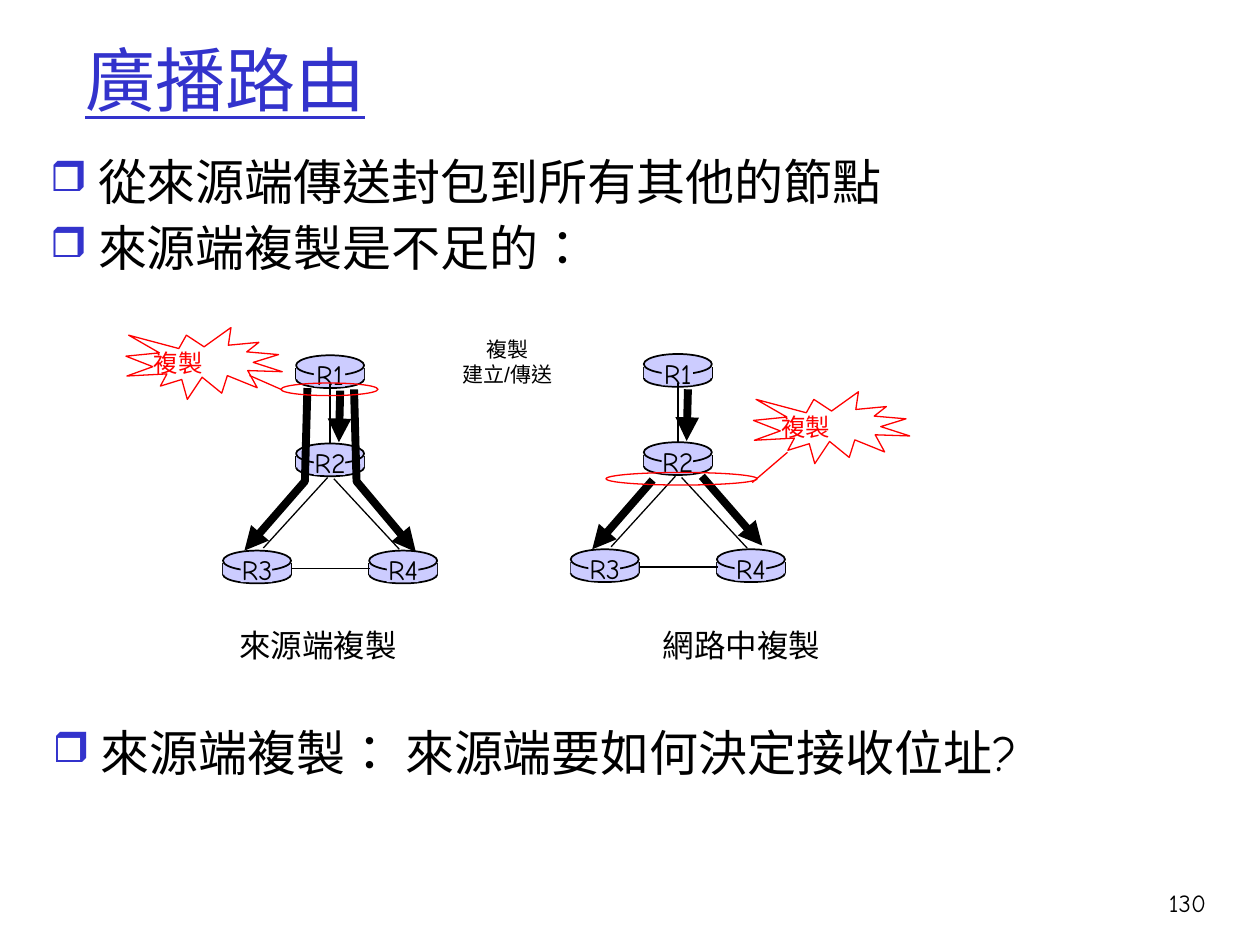
from lxml import etree
from pptx import Presentation
from pptx.dml.color import RGBColor
from pptx.enum.lang import MSO_LANGUAGE_ID
from pptx.enum.shapes import MSO_CONNECTOR, MSO_SHAPE
from pptx.enum.text import MSO_ANCHOR, PP_ALIGN
from pptx.oxml.ns import qn
from pptx.util import Inches, Pt

CHINESE = MSO_LANGUAGE_ID.TRADITIONAL_CHINESE
STRAIGHT = MSO_CONNECTOR.STRAIGHT
OVAL, RECTANGLE = MSO_SHAPE.OVAL, MSO_SHAPE.RECTANGLE
BURST = MSO_SHAPE.EXPLOSION1
LEFT, CENTER, RIGHT = PP_ALIGN.LEFT, PP_ALIGN.CENTER, PP_ALIGN.RIGHT
TOP, MIDDLE = MSO_ANCHOR.TOP, MSO_ANCHOR.MIDDLE
BLACK, RED, BLUE, LILAC = "000000", "FF0000", "3333CC", "CCCCFF"
SANS, COMIC = "Arial", "Comic Neue"

ROUTERS = {"R1": (2.35, 2.82), "R2": (2.35, 3.52),
           "R3": (1.77, 4.37), "R4": (2.93, 4.37)}
LINKS = [((2.62, 3.05), (2.62, 3.52)), ((2.6, 3.79), (2.09, 4.35)),
         ((2.65, 3.8), (3.17, 4.36)), ((2.31, 4.51), (2.94, 4.51))]
FIRST_HOP = ((2.7, 3.1), (2.69, 3.51))
RIGHT_SHIFT = (2.76, -0.01)


def color(value):
    """Return the colour for a hex string."""
    return RGBColor.from_string(value)


def shift(point, offset):
    """Move a point by an offset."""
    return point[0] + offset[0], point[1] + offset[1]


def add_shape(page, kind, place, fill=None, line=None, weight=0.75):
    """Add a preset shape with an optional fill and outline."""
    shape = page.shapes.add_shape(kind, *map(Inches, place))
    shape.shadow.inherit = False
    if fill:
        shape.fill.solid()
        shape.fill.fore_color.rgb = color(fill)
    else:
        shape.fill.background()
    if line:
        shape.line.color.rgb = color(line)
        shape.line.width = Pt(weight)
    else:
        shape.line.fill.background()
    return shape


def add_arrowhead(shape):
    """Put a triangle at the end of a line."""
    etree.SubElement(shape.line._get_or_add_ln(), qn("a:tailEnd"), type="triangle")


def add_line(page, start, end, line=BLACK, weight=0.75):
    """Add a straight line between two points."""
    connector = page.shapes.add_connector(STRAIGHT, *map(Inches, (*start, *end)))
    connector.line.color.rgb = color(line)
    connector.line.width = Pt(weight)
    etree.SubElement(connector._element.spPr, qn("a:effectLst"))
    return connector


def add_route(page, *points):
    """Add a thick packet route that follows the points to an arrowhead."""
    corners = [(Inches(x), Inches(y)) for x, y in points]
    builder = page.shapes.build_freeform(*corners[0])
    builder.add_line_segments(corners[1:], close=False)
    route = builder.convert_to_shape()
    route.shadow.inherit = False
    route.fill.background()
    route.line.color.rgb = color(BLACK)
    route.line.width = Pt(4.5)
    add_arrowhead(route)


def add_text(page, place, lines, size, font=SANS, ink=BLACK, align=CENTER,
             wrap=False, anchor=TOP, underline=None):
    """Add a text box with one paragraph per line."""
    box = page.shapes.add_textbox(*map(Inches, place))
    frame = box.text_frame
    frame.word_wrap = wrap
    frame.vertical_anchor = anchor
    frame.text = "\n".join(lines)
    for para in frame.paragraphs:
        para.alignment = align
        for span in para.runs:
            span.font.size = Pt(size)
            span.font.name = font
            span.font.language_id = CHINESE
            span.font.underline = underline
            span.font.color.rgb = color(ink)
    return box


def add_bullets(page, place, lines):
    """Add a list with blue square bullets."""
    box = add_text(page, place, lines, 28, COMIC, align=LEFT, wrap=True)
    for index, para in enumerate(box.text_frame.paragraphs):
        para.line_spacing = 0.9
        para.space_before = Pt(7 if index else 0)
        props = para._p.get_or_add_pPr()
        props.set("marL", str(Inches(0.38)))
        props.set("indent", str(-Inches(0.38)))
        tint = etree.SubElement(props, qn("a:buClr"))
        etree.SubElement(tint, qn("a:srgbClr"), val=BLUE)
        etree.SubElement(props, qn("a:buSzPct"), val="85000")
        etree.SubElement(props, qn("a:buChar"), char="❒")


def add_router(page, name, corner):
    """Add a labelled router drawn as a flat cylinder."""
    x, y = corner
    add_shape(page, OVAL, (x, y + 0.12, 0.54, 0.14), LILAC, BLACK, 1)
    for side in (x, x + 0.54):
        add_line(page, (side, y + 0.1), (side, y + 0.19), weight=1)
    add_shape(page, RECTANGLE, (x, y + 0.1, 0.54, 0.09), LILAC)
    add_shape(page, OVAL, (x, y, 0.54, 0.16), LILAC, BLACK, 1)
    add_shape(page, RECTANGLE, (x + 0.14, y + 0.02, 0.25, 0.23), LILAC)
    add_text(page, (x - 0.03, y - 0.03, 0.6, 0.37), [name], 16, COMIC)


def add_network(page, offset):
    """Add the four routers, their links and the first hop."""
    for name, corner in ROUTERS.items():
        add_router(page, name, shift(corner, offset))
    for start, end in LINKS:
        add_line(page, shift(start, offset), shift(end, offset))
    hop = add_line(page, *(shift(point, offset) for point in FIRST_HOP), weight=4.5)
    add_arrowhead(hop)


def add_callout(page, corner, ring, start, end):
    """Add a red burst label tied to a ring around the copied packets."""
    x, y = corner
    add_shape(page, BURST, (x, y, 1.24, 0.57), line=RED)
    add_text(page, (x + 0.12, y + 0.11, 0.59, 0.34), ["複製"], 14, ink=RED)
    add_shape(page, OVAL, ring, line=RED)
    add_line(page, start, end, RED)


def main():
    """Build the slide and save it."""
    deck = Presentation()
    deck.slide_width, deck.slide_height = Inches(10), Inches(7.5)
    page = deck.slides.add_slide(deck.slide_layouts[6])

    add_text(page, (0.58, 0, 8.5, 1.25), ["廣播路由"], 40, COMIC, BLUE, LEFT,
             wrap=True, anchor=MIDDLE, underline=True)
    add_bullets(page, (0.3, 1.21, 9.38, 1.06),
                ["從來源端傳送封包到所有其他的節點", "來源端複製是不足的："])

    add_network(page, (0, 0))
    add_route(page, (2.81, 3.09), (2.83, 3.82), (3.3, 4.38))
    add_route(page, (2.44, 3.08), (2.42, 3.82), (1.94, 4.37))
    add_text(page, (1.8, 4.92, 1.45, 0.4), ["來源端複製"], 18)

    add_network(page, RIGHT_SHIFT)
    add_route(page, (5.57, 3.78), (6.05, 4.33))
    add_route(page, (5.18, 3.81), (4.7, 4.36))
    add_text(page, (5.16, 4.92, 1.45, 0.4), ["網路中複製"], 18)

    add_text(page, (3.53, 2.62, 0.99, 0.5), ["複製", "建立/傳送"], 12)
    add_callout(page, (1, 2.6), (2.23, 3.04, 0.77, 0.1), (2.23, 3.09), (1.98, 2.98))
    add_callout(page, (5.98, 3.11), (4.81, 3.75, 1.2, 0.1), (6.25, 3.59), (5.97, 3.83))

    add_bullets(page, (0.32, 5.74, 8.88, 1.06),
                ["來源端複製： 來源端要如何決定接收位址?"])
    add_text(page, (8.93, 7, 0.74, 0.5), ["130"], 14, COMIC, align=RIGHT, wrap=True)
    deck.save("out.pptx")


if __name__ == "__main__":
    main()
